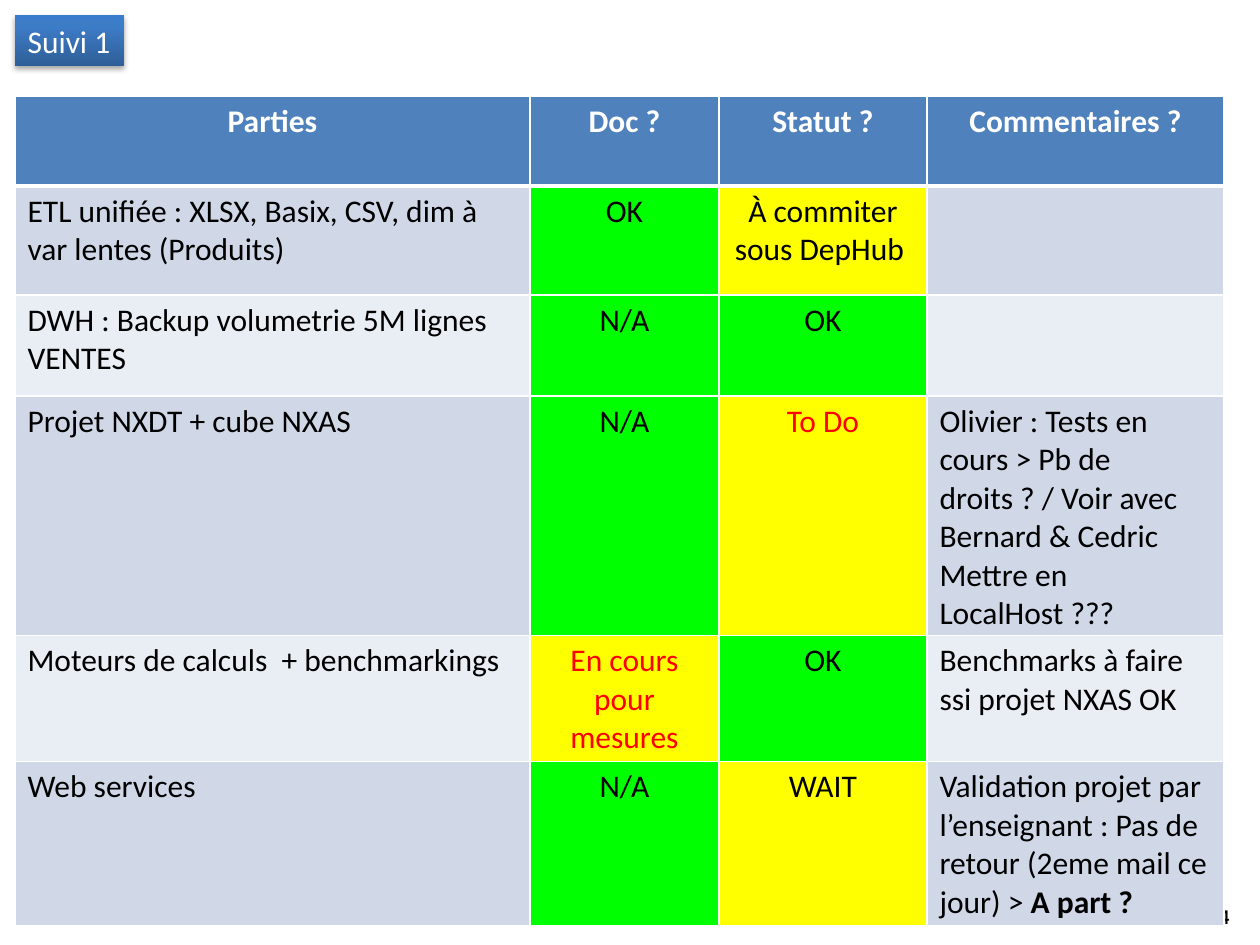
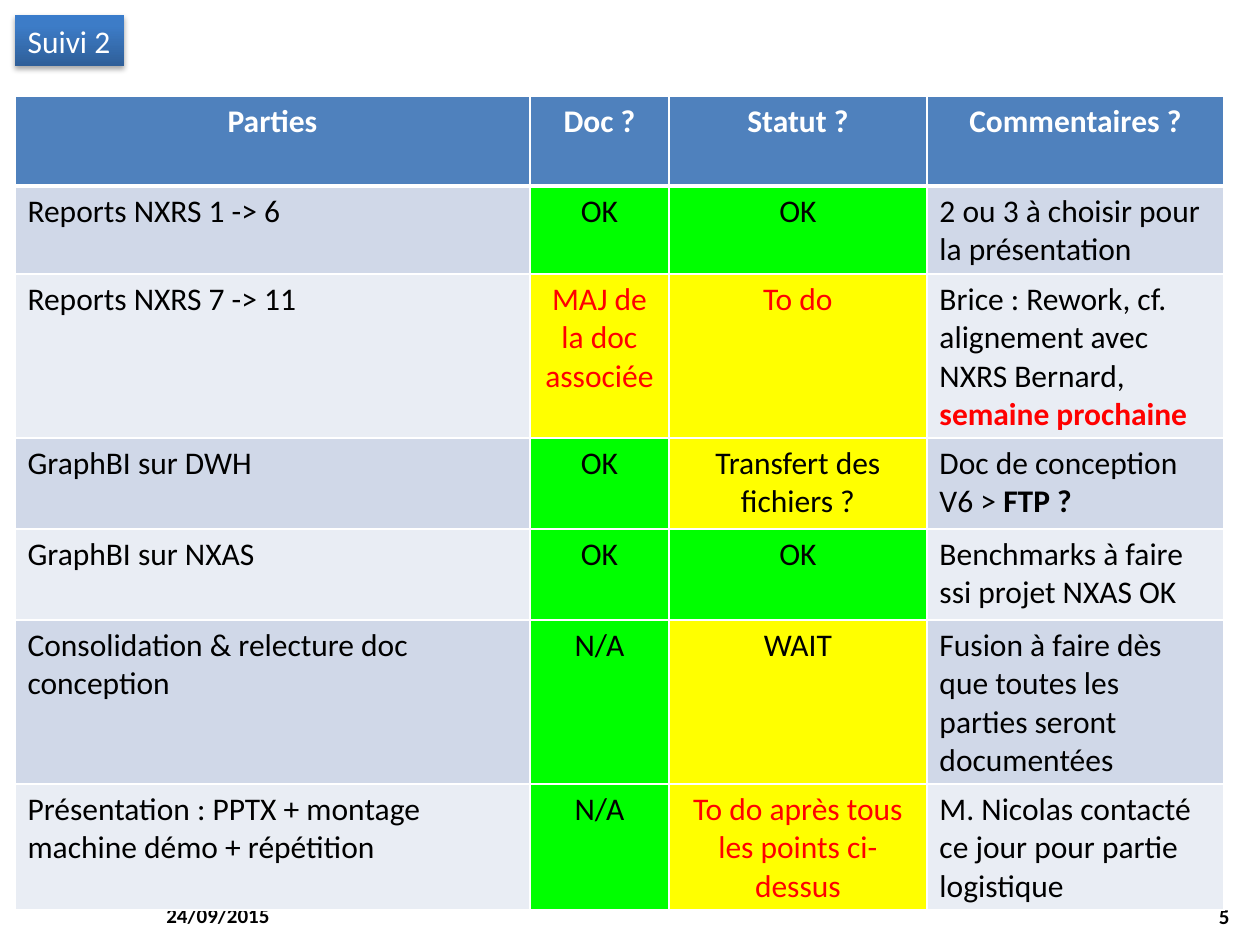
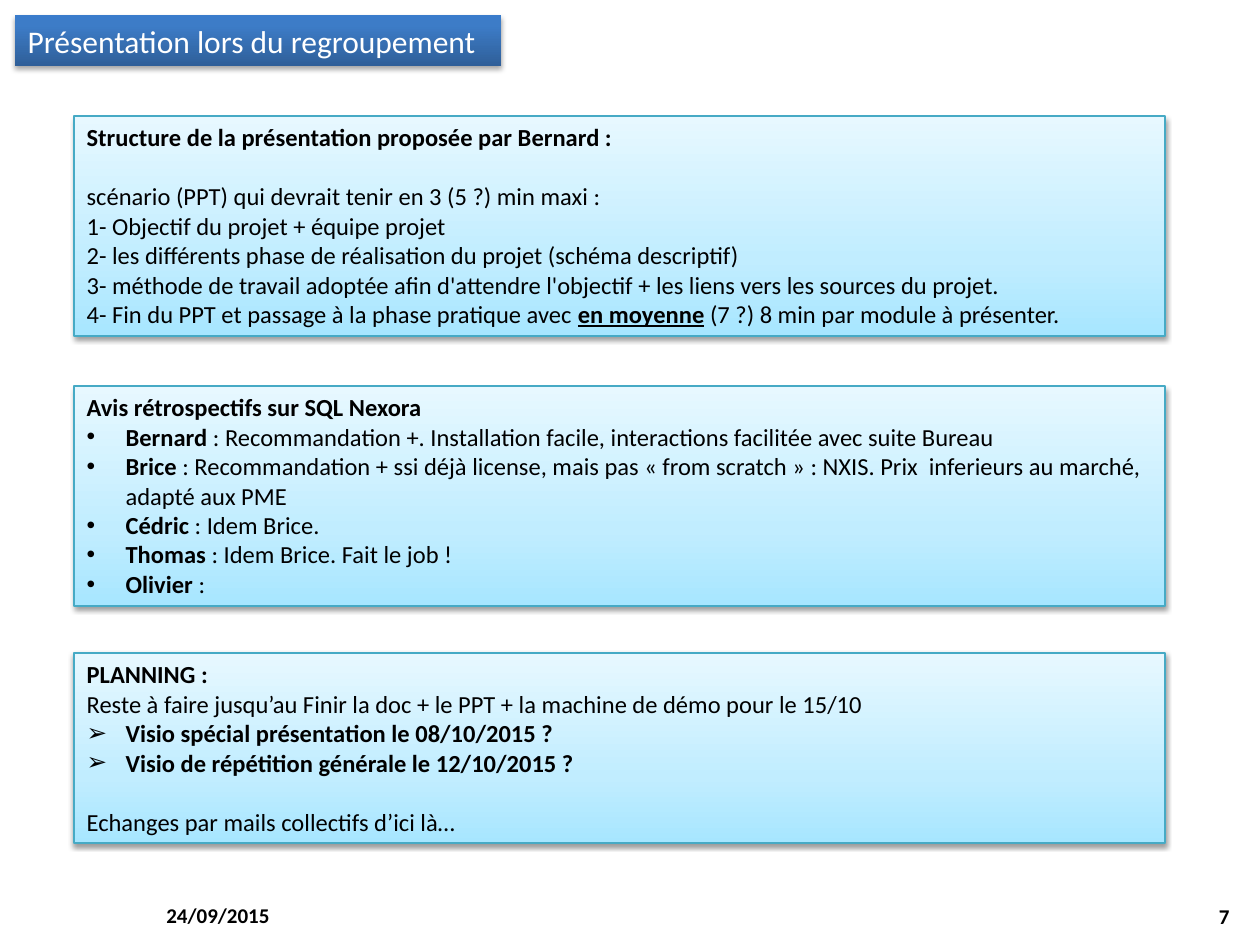
from dataclasses import dataclass
from lxml.etree import SubElement
from pptx import Presentation
from pptx.dml.color import RGBColor as RGB
from pptx.enum.text import MSO_ANCHOR as Anchor, MSO_AUTO_SIZE as Fit, PP_ALIGN as Align
from pptx.oxml import parse_xml
from pptx.oxml.ns import nsdecls, qn
from pptx.util import Emu, Pt


@dataclass(frozen=True)
class Theme:
    font: str = "Calibri"
    head: int = 18
    cell: int = 18
    body: int = 14
    foot: int = 12
    ink: str = "000000"
    white: str = "FFFFFF"
    red: str = "FF0000"
    green: str = "00FF00"
    yellow: str = "FFFF00"
    blue: str = "4F81BD"
    bands: tuple = ("D0D8E8", "E9EDF4")
    edge: str = "46AAC5"
    badge: tuple = ((0, "2F5F99"), (80, "3D7CC7"), (100, "3A7CCB"))
    panel: tuple = ((0, "A7E6FF"), (35, "C1EDFF"), (100, "E7F8FF"))


T = Theme()
DATE = "24/09/2015"
HEADS = ("Parties", "Doc ?", "Statut ?", "Commentaires ?")
DONE = ("OK", "N/A")
TITLE_ONLY, COMPARE = 5, 4

# In texts, *...* is bold; a piece that starts with ! is red, with _ underlined.
TRACK_1 = [
    ("ETL unifiée : XLSX, Basix, CSV, dim à var lentes (Produits)", "OK",
     "À commiter sous DepHub ", ""),
    ("DWH : Backup volumetrie 5M lignes VENTES", "N/A", "OK", ""),
    ("Projet NXDT + cube NXAS", "N/A", "!To Do",
     "Olivier : Tests en cours > Pb de droits ? / Voir avec Bernard & Cedric\n"
     "Mettre en LocalHost ???"),
    ("Moteurs de calculs  + benchmarkings", "!En cours pour mesures", "OK",
     "Benchmarks à faire ssi projet NXAS OK"),
    ("Web services", "N/A", "WAIT",
     "Validation projet par l’enseignant : Pas de retour (2eme mail ce jour) > *A part ?*"),
]
TRACK_2 = [
    ("Reports NXRS 1 -> 6", "OK", "OK", "2 ou 3 à choisir pour la présentation"),
    ("Reports NXRS 7 -> 11", "!MAJ de la doc associée", "!To do",
     "Brice : Rework, cf. alignement avec NXRS Bernard, *!semaine prochaine*"),
    ("GraphBI sur DWH", "OK", "Transfert des fichiers ?", "Doc de conception V6 > *FTP ?*"),
    ("GraphBI sur NXAS", "OK", "OK", "Benchmarks à faire ssi projet NXAS OK"),
    ("Consolidation & relecture doc conception", "N/A", "WAIT",
     "Fusion à faire dès que toutes les parties seront documentées"),
    ("Présentation : PPTX + montage machine démo + répétition", "N/A",
     "!To do après tous les points ci-dessus",
     "M. Nicolas contacté ce jour pour partie logistique"),
]

GAP = {"before": 17}
DOT = {"bullet": "•"}
ARROW = {"bullet": "➢"}
PLAN = [
    ("*Structure de la présentation proposée par Bernard :*", {}),
    ("scénario (PPT) qui devrait tenir en 3 (5 ?) min maxi :", GAP),
    ("1- Objectif du projet + équipe projet", {}),
    ("2- les différents phase de réalisation du projet (schéma descriptif)", {}),
    ("3- méthode de travail adoptée afin d'attendre l'objectif + les liens vers "
     "les sources du projet.", {}),
    ("4- Fin du PPT et passage à la phase pratique avec *_en moyenne* (7 ?) 8 min "
     "par module à présenter.", {}),
]
VIEWS = [
    ("*Avis rétrospectifs sur SQL Nexora*", {}),
    ("*Bernard* : Recommandation +. Installation facile, interactions facilitée "
     "avec suite Bureau", DOT),
    ("*Brice* : Recommandation + ssi déjà license, mais pas « from scratch » : NXIS. "
     "Prix  inferieurs au marché, adapté aux PME", DOT),
    ("*Cédric* : Idem Brice.", DOT),
    ("*Thomas* : Idem Brice. Fait le job !", DOT),
    ("*Olivier* :", DOT),
]
DATES = [
    ("*PLANNING :*", {}),
    ("Reste à faire jusqu’au Finir la doc + le PPT + la machine de démo pour le 15/10", {}),
    ("*Visio spécial présentation le 08/10/2015 ?*", ARROW),
    ("*Visio de répétition générale le 12/10/2015 ?*", ARROW),
    ("Echanges par mails collectifs d’ici là…", GAP),
]


def px(n):
    return Emu(round(n * 914400 / 126))


def place(shape, box):
    shape.left, shape.top, shape.width, shape.height = map(px, box)


def write(frame, text, size=T.body, color=T.ink, align=Align.LEFT, before=0, bullet=None):
    """Add one paragraph, reading the marks for bold, red and underline."""
    first = frame.paragraphs[0]
    para = frame.add_paragraph() if first.runs else first
    para.alignment, para.space_before = align, Pt(before)
    props = para._p.get_or_add_pPr()
    indent = px(39) if bullet else 0
    props.set("marL", str(indent))
    props.set("indent", str(-indent))
    if bullet:
        SubElement(props, qn("a:buFont"), typeface="Arial")
        SubElement(props, qn("a:buChar"), char=bullet)
    else:
        SubElement(props, qn("a:buNone"))
    for i, piece in enumerate(text.split("*")):
        if not piece:
            continue
        run = para.add_run()
        run.text = piece.lstrip("!_")
        font = run.font
        font.name, font.size, font.bold = T.font, Pt(size), i % 2 == 1
        font.underline = piece[0] == "_"
        font.color.rgb = RGB.from_string(T.red if piece[0] == "!" else color)


def glow(shape, stops, alpha, drop, edge=None):
    """Give a bottom-to-top gradient, an optional outline and a soft shadow."""
    props = shape._element.spPr
    marks = "".join(f'<a:gs pos="{at * 1000}"><a:srgbClr val="{tint}"/></a:gs>'
                    for at, tint in stops)
    props.append(parse_xml(f'<a:gradFill {nsdecls("a")} rotWithShape="1"><a:gsLst>{marks}'
                           '</a:gsLst><a:lin ang="16200000" scaled="0"/></a:gradFill>'))
    if edge:
        shape.line.color.rgb = RGB.from_string(edge)
        shape.line.width = Pt(0.75)
    props.append(parse_xml(
        f'<a:effectLst {nsdecls("a")}><a:outerShdw blurRad="40000" dist="{drop}" '
        f'dir="5400000" rotWithShape="0"><a:srgbClr val="000000"><a:alpha val="{alpha * 1000}"/>'
        '</a:srgbClr></a:outerShdw></a:effectLst>'))


def footer(slide, number):
    for text, left, top, align in ((DATE, 154, 890, Align.LEFT),
                                   (number, 948, 891, Align.RIGHT)):
        shape = slide.shapes.add_textbox(*map(px, (left, top, 294, 50)))
        frame = shape.text_frame
        frame.word_wrap, frame.vertical_anchor = True, Anchor.MIDDLE
        write(frame, f"*{text}*", size=T.foot, align=align)


def start(prs, layout, title, width, number):
    """Add a slide with its title badge and footer."""
    slide = prs.slides.add_slide(prs.slide_layouts[layout])
    badge = slide.shapes.title
    place(badge, (15, 15, width, 51))
    glow(badge, T.badge, 35, 23000)
    frame = badge.text_frame
    frame.word_wrap, frame.auto_size = False, Fit.NONE
    write(frame, title, size=T.head, color=T.white)
    footer(slide, number)
    return slide


def border(cell, base):
    props = cell._tc.get_or_add_tcPr()
    for side in "LRTB":
        width = Pt(base if side == "B" else 1)
        line = SubElement(props, qn(f"a:ln{side}"), w=str(width))
        SubElement(SubElement(line, qn("a:solidFill")), qn("a:srgbClr"), val=T.white)


def tint(row, col, text):
    if row == 0:
        return T.blue
    if col in (1, 2):
        return T.green if text in DONE else T.yellow
    return T.bands[(row - 1) % 2]


def grid(slide, rows, box, widths, heights):
    table = slide.shapes.add_table(len(heights), len(widths), *map(px, box)).table
    for col, width in zip(table.columns, widths):
        col.width = px(width)
    for row, height in zip(table.rows, heights):
        row.height = px(height)
    heads = tuple(f"*{head}*" for head in HEADS)
    for r, texts in enumerate([heads, *rows]):
        for c, text in enumerate(texts):
            cell = table.cell(r, c)
            border(cell, 1 if r else 3)
            cell.fill.solid()
            cell.fill.fore_color.rgb = RGB.from_string(tint(r, c, text))
            for line in text.split("\n"):
                write(cell.text_frame, line, size=T.cell,
                      color=T.ink if r else T.white,
                      align=Align.CENTER if r == 0 or c in (1, 2) else Align.LEFT)


def track(prs, title, number, rows, widths, heights):
    """Build a slide that follows the state of each part of the work."""
    slide = start(prs, TITLE_ONLY, title, 109, number)
    grid(slide, rows, (15, 96, sum(widths), sum(heights)), widths, heights)


def panel(shape, box, lines):
    place(shape, box)
    glow(shape, T.panel, 38, 20000, T.edge)
    frame = shape.text_frame
    frame.word_wrap, frame.auto_size = True, Fit.NONE
    frame.vertical_anchor = Anchor.TOP
    for text, look in lines:
        write(frame, text, **look)


def agenda(prs, title, number):
    slide = start(prs, COMPARE, title, 486, number)
    *bodies, spare = list(slide.placeholders)[1:]
    spare._element.getparent().remove(spare._element)
    parts = ((116, 220, PLAN), (386, 220, VIEWS), (653, 190, DATES))
    for body, (top, height, lines) in zip(bodies, parts):
        panel(body, (74, top, 1091, height), lines)


def main():
    prs = Presentation()
    prs.slide_width, prs.slide_height = px(1260), px(945)
    track(prs, "Suivi 1", 4, TRACK_1, (515, 189, 208, 297), (90, 109, 101, 239, 126, 163))
    track(prs, "Suivi 2", 5, TRACK_2, (515, 139, 258, 297), (90, 87, 164, 91, 91, 163, 126))
    agenda(prs, "Présentation lors du regroupement", 7)
    prs.save("out.pptx")


if __name__ == "__main__":
    main()
